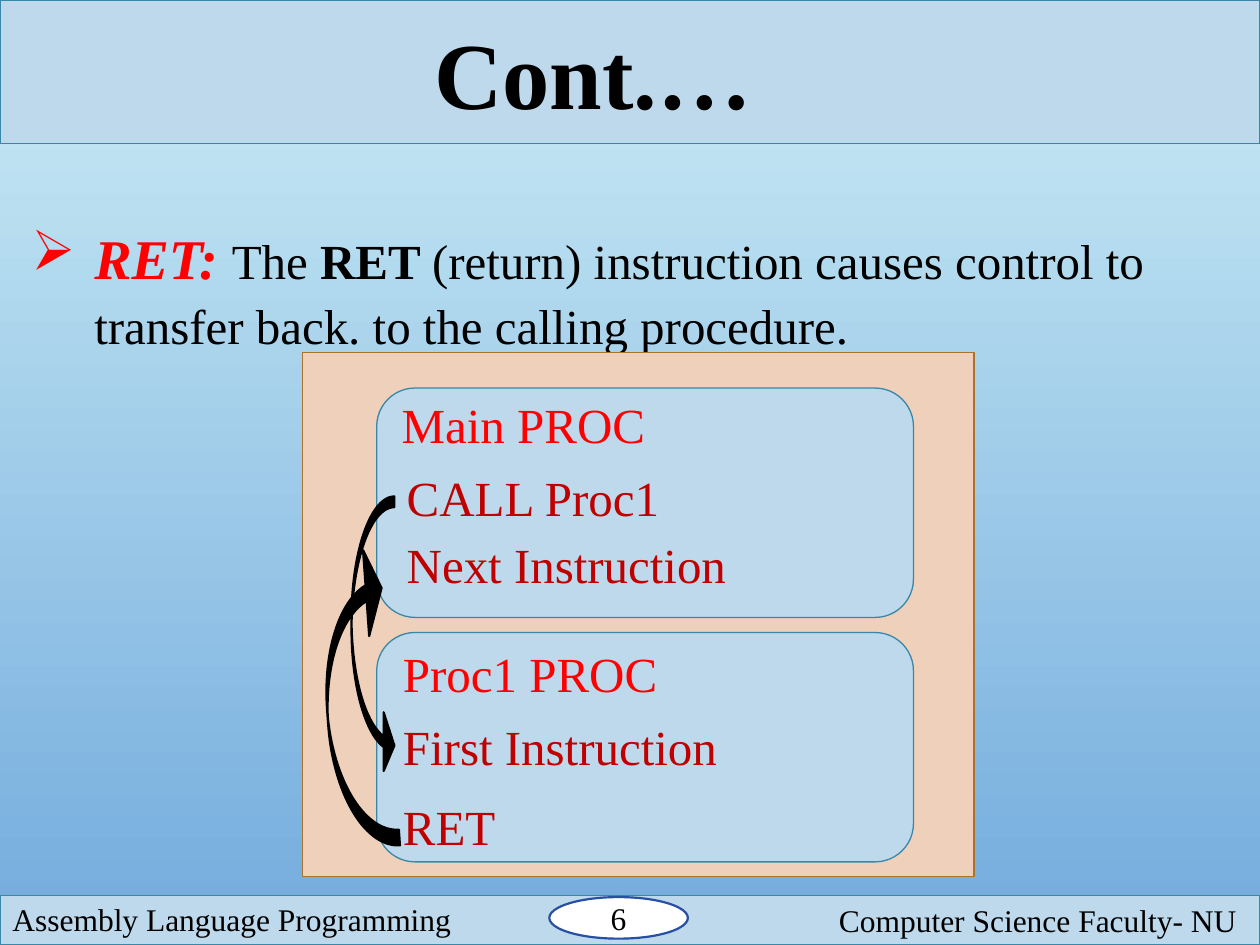
import pptx
import pptx.util
import pptx.dml.color
import pptx.enum.shapes
import pptx.enum.text
import pptx.oxml
import lxml.etree

inch = pptx.util.Inches
kinds = pptx.enum.shapes.MSO_SHAPE
center = pptx.enum.text.PP_ALIGN.CENTER
theme = {
    "font": "Times New Roman",
    "black": "000000", "white": "FFFFFF", "red": "FF0000", "dark": "C00000",
    "pale": "BDD9EB", "teal": "3A87A7", "peach": "EED0BB", "brown": "AC712D",
    "navy": "274FA4", "sky": ("CBECF5", "73ABDD"),
    "title": 54, "term": 32, "body": 28, "foot": 18,
}

deck = pptx.Presentation()
deck.slide_width, deck.slide_height = inch(10), inch(7.5)
slide = deck.slides.add_slide(deck.slide_layouts[6])


def shape(kind, box, fill, line, width=0.75):
    """Add a filled preset shape and return it."""
    item = slide.shapes.add_shape(kind, *map(inch, box))
    item.shadow.inherit = False
    item.fill.solid()
    item.fill.fore_color.rgb = pptx.dml.color.RGBColor.from_string(theme[fill])
    item.line.color.rgb = pptx.dml.color.RGBColor.from_string(theme[line])
    item.line.width = pptx.util.Pt(width)
    return item


def write(item, runs, wrap=True):
    """Fill an item with runs of (text, size, color, bold, italic)."""
    frame = item.text_frame
    frame.word_wrap = wrap
    par = frame.paragraphs[0]
    for text, size, color, bold, slant in runs:
        run = par.add_run()
        run.text = text
        font = run.font
        font.name, font.size = theme["font"], pptx.util.Pt(theme[size])
        font.bold, font.italic = bold, slant
        font.color.rgb = pptx.dml.color.RGBColor.from_string(theme[color])
    return par


# Background
back = slide.background.fill
back.gradient()
back.gradient_angle = 270
for stop, color in zip(back.gradient_stops, theme["sky"]):
    stop.color.rgb = pptx.dml.color.RGBColor.from_string(color)
back.gradient_stops[0].position = 0
back.gradient_stops[1].position = 1

# Header and footer
for top, high in ((0, 1.14), (7.11, 0.39)):
    shape(kinds.RECTANGLE, (0, top, 10, high), "pale", "teal")
for text, box in (
    ("Assembly Language Programming", (0, 7.09, 4.36, 0.4)),
    ("Computer Science Faculty- NU", (6.56, 7.1, 3.44, 0.4)),
):
    write(slide.shapes.add_textbox(*map(inch, box)),
          [(text, "foot", "black", False, False)])
badge = shape(kinds.OVAL, (4.36, 7.12, 1.1, 0.33), "white", "navy", 1.25)
badge.text_frame.vertical_anchor = pptx.enum.text.MSO_ANCHOR.MIDDLE
write(badge, [("6", "foot", "black", False, False)]).alignment = center
title = slide.shapes.add_textbox(*map(inch, (3.33, 0.07, 2.75, 1.01)))
write(title, [("Cont.…", "title", "black", True, False)], False).alignment = center

# Definition
note = slide.shapes.add_textbox(*map(inch, (0.15, 1.69, 9.39, 1.11)))
par = write(note, [
    ("RET: ", "term", "red", True, True),
    ("The ", "body", "black", False, False),
    ("RET ", "body", "black", True, False),
    ("(return) instruction causes control to transfer back. "
     "to the calling procedure.", "body", "black", False, False),
])
par.line_spacing = 1.07
props = par._p.get_or_add_pPr()
props.set("marL", str(inch(0.5)))
props.set("indent", str(-inch(0.5)))
mark = lxml.etree.SubElement(props, pptx.oxml.ns.qn("a:buChar"))
mark.set("char", "➢")

# Procedures
shape(kinds.RECTANGLE, (2.4, 2.8, 5.33, 4.16), "peach", "brown")
for top, lines in (
    (3.08, (("Main PROC", 3.09, 3.08), ("CALL Proc1", 3.13, 3.66),
            ("Next Instruction", 3.13, 4.19))),
    (5.02, (("Proc1 PROC", 3.1, 5.06), ("First Instruction", 3.1, 5.64),
            ("RET", 3.1, 6.27))),
):
    shape(kinds.ROUNDED_RECTANGLE, (2.99, top, 4.26, 1.82), "pale", "teal")
    for row, (text, left, high) in enumerate(lines):
        label = slide.shapes.add_textbox(*map(inch, (left, high, 2.9, 0.57)))
        write(label, [(text, "body", "dark" if row else "red", False, False)])

# Call and return arrows
for box, turn, flip in (
    ((2.79, 3.94, 0.34, 2.21), 0, "0"),
    ((2.59, 4.34, 0.5, 2.39), 175.9, "1"),
):
    arrow = shape(kinds.CURVED_RIGHT_ARROW, box, "black", "black", 1.25)
    for spot, value in enumerate((0.25, 1.367, 0.25)):
        arrow.adjustments[spot] = round(value, 2)
    arrow.rotation = turn
    arrow._element.spPr.xfrm.set("flipH", flip)

deck.save("out.pptx")
